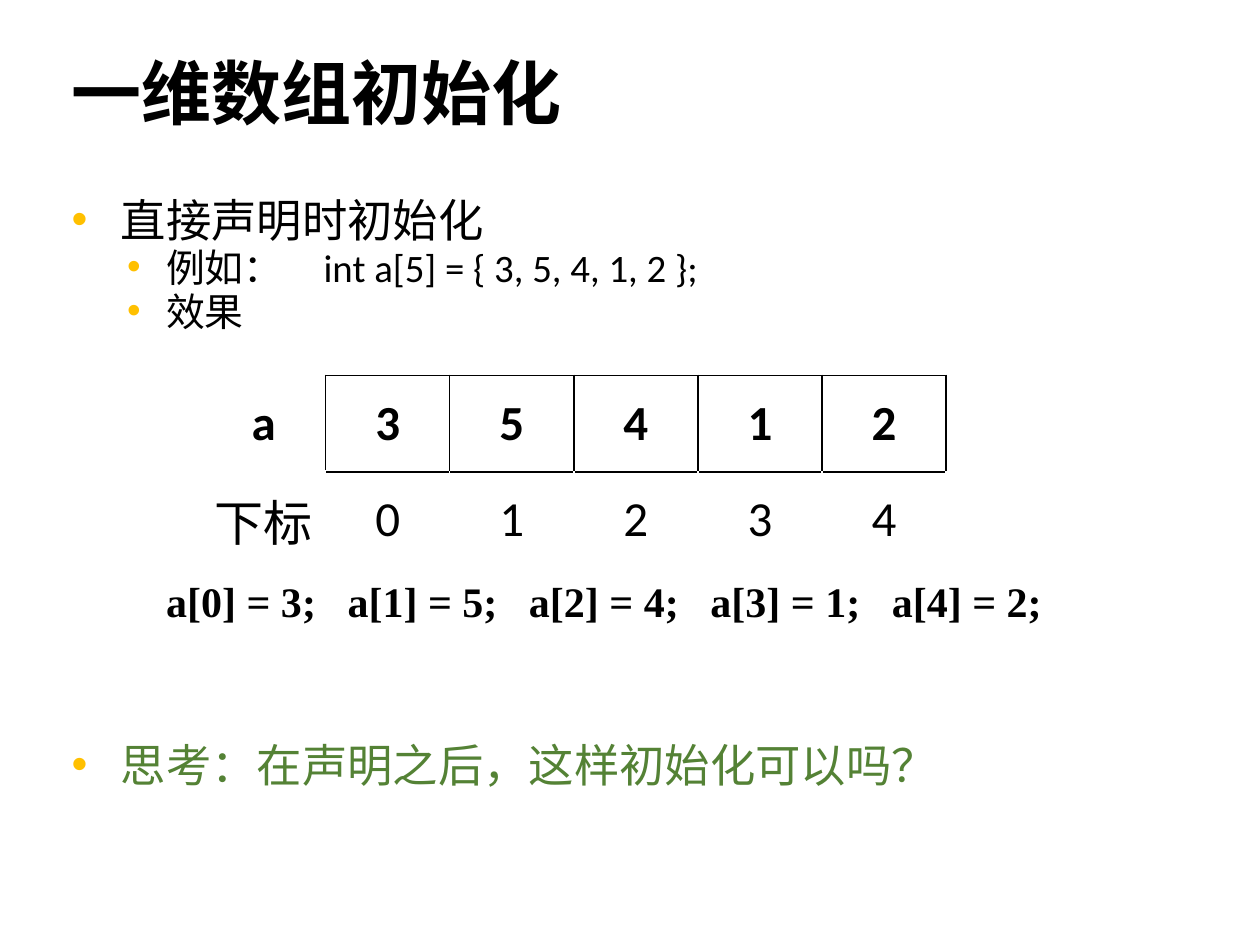
"""Build a slide on initialising a one-dimensional array."""
from lxml import etree
from pptx import Presentation
from pptx.dml.color import RGBColor
from pptx.enum.text import MSO_ANCHOR, PP_ALIGN
from pptx.oxml.ns import qn
from pptx.util import Inches, Pt

BLACK = RGBColor(0x00, 0x00, 0x00)
WHITE = RGBColor(0xFF, 0xFF, 0xFF)
GREEN = RGBColor(0x54, 0x82, 0x35)
GOLD = RGBColor(0xFF, 0xC0, 0x00)
CJK = "Noto Sans CJK SC"


def write(p, text, size, font="Calibri", color=BLACK, bold=False,
          align=PP_ALIGN.LEFT, line=None, before=0):
    p.alignment = align
    p.line_spacing = line
    p.space_before = Pt(before)
    r = p.add_run()
    r.text = text
    r.font.size = Pt(size)
    r.font.name = font
    r.font.bold = bold
    r.font.color.rgb = color
    etree.SubElement(r.font._element, qn("a:ea"), typeface=CJK)


def set_border(cell, index, color, width):
    ln = etree.Element(qn("a:" + ("lnL", "lnR", "lnT", "lnB")[index]), w=str(Pt(width)))
    fill = etree.SubElement(ln, qn("a:solidFill"))
    etree.SubElement(fill, qn("a:srgbClr"), val=str(color))
    cell._tc.get_or_add_tcPr().insert(index, ln)


prs = Presentation()
prs.slide_width, prs.slide_height = Inches(10), Inches(7.5)
s = prs.slides.add_slide(prs.slide_layouts[6])

tf = s.shapes.add_textbox(Inches(0.47), Inches(0.47), Inches(9.06), Inches(0.97)).text_frame
tf.word_wrap = True
tf.margin_top = 0
write(tf.paragraphs[0], "一维数组初始化", 40, bold=True, line=0.9)

tf = s.shapes.add_textbox(Inches(0.47), Inches(1.58), Inches(9.06), Inches(5.15)).text_frame
tf.word_wrap = True
bullets = [
    ("直接声明时初始化", 0, CJK, BLACK, 0),
    ("例如：\tint a[5] = { 3, 5, 4, 1, 2 };", 1, "Calibri", BLACK, 5),
    ("效果", 1, "Calibri", BLACK, 5),
    ("思考：在声明之后，这样初始化可以吗？", 0, CJK, GREEN, 238),
]
for i, (text, level, font, color, before) in enumerate(bullets):
    p = tf.add_paragraph() if i else tf.paragraphs[0]
    p.level = level
    write(p, text, (25.9, 22.2)[level], font=font, color=color, line=0.75, before=before)
    pPr = p._p.get_or_add_pPr()
    pPr.set("marL", str(Inches((0.39, 0.75)[level])))
    pPr.set("indent", str(Inches((-0.39, -0.31)[level])))
    buClr = etree.SubElement(pPr, qn("a:buClr"))
    etree.SubElement(buClr, qn("a:srgbClr"), val=str(GOLD))
    etree.SubElement(pPr, qn("a:buFont"), typeface="Arial")
    etree.SubElement(pPr, qn("a:buChar"), char="•")

rows = [("a", "3", "5", "4", "1", "2"), ("下标", "0", "1", "2", "3", "4")]
table = s.shapes.add_table(2, 6, Inches(1.6), Inches(2.98), Inches(5.91), Inches(1.53)).table
table.first_row = table.horz_banding = False
for i, row in enumerate(rows):
    for j, text in enumerate(row):
        cell = table.cell(i, j)
        cell.vertical_anchor = MSO_ANCHOR.MIDDLE
        cell.fill.solid()
        cell.fill.fore_color.rgb = WHITE
        write(cell.text_frame.paragraphs[0], text, 28, bold=i == 0, align=PP_ALIGN.CENTER)
        if j == 0:
            borders = [(WHITE, 1), (WHITE if i else BLACK, 1), (WHITE, 1), (WHITE, 1)]
            borders[2 if i else 3] = (WHITE, 3)
        elif i == 0:
            borders = [(BLACK, 1)] * 4
        else:
            borders = [(WHITE, 1), (WHITE, 1), (BLACK, 1), (WHITE, 1)]
        for index, (color, width) in enumerate(borders):
            set_border(cell, index, color, width)

tf = s.shapes.add_textbox(Inches(1.22), Inches(4.52), Inches(7.24), Inches(0.51)).text_frame
tf.word_wrap = True
p = tf.paragraphs[0]
assignments = [f"a[{i}] = {value};" for i, value in enumerate(rows[0][1:])]
write(p, "\t".join(assignments), 24, font="Times New Roman", bold=True)
tabs = etree.SubElement(p._p.get_or_add_pPr(), qn("a:tabLst"))
for i in range(1, len(assignments)):
    etree.SubElement(tabs, qn("a:tab"), pos=str(Inches(1.44 * i)), algn="l")

prs.save("out.pptx")
